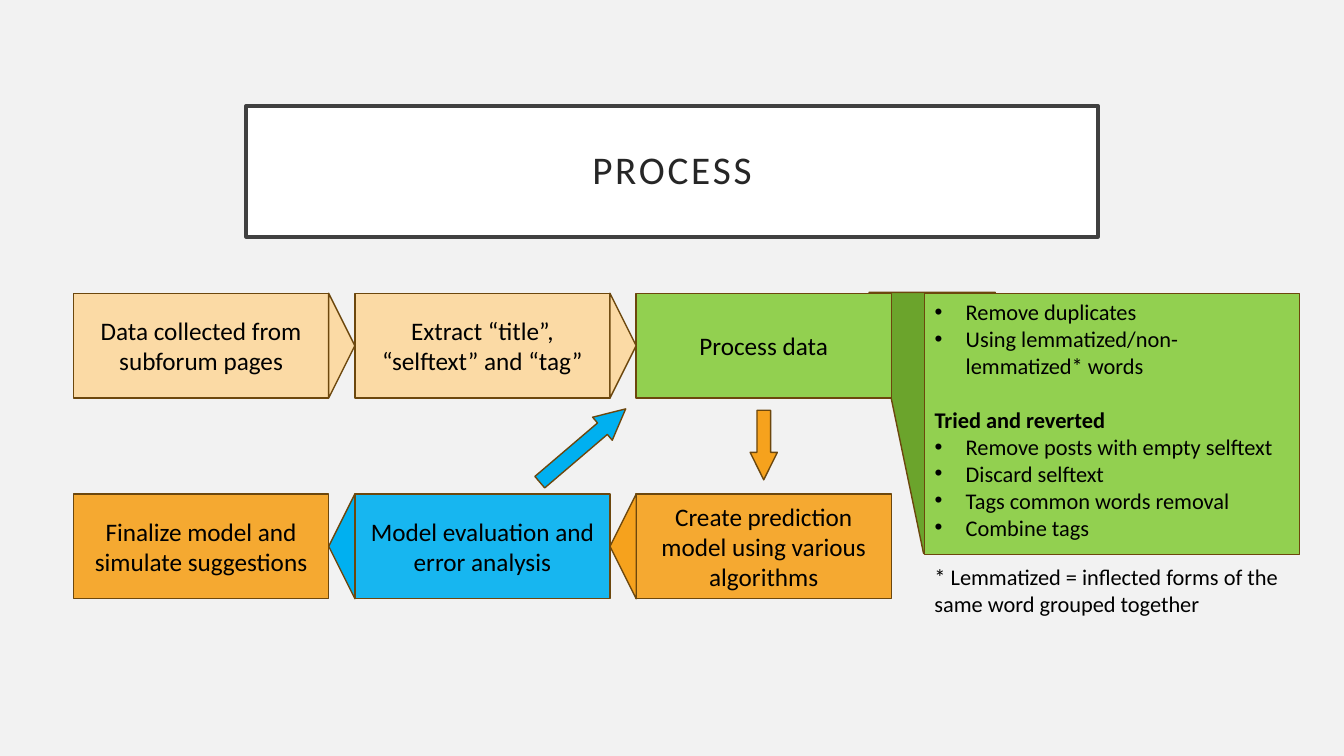
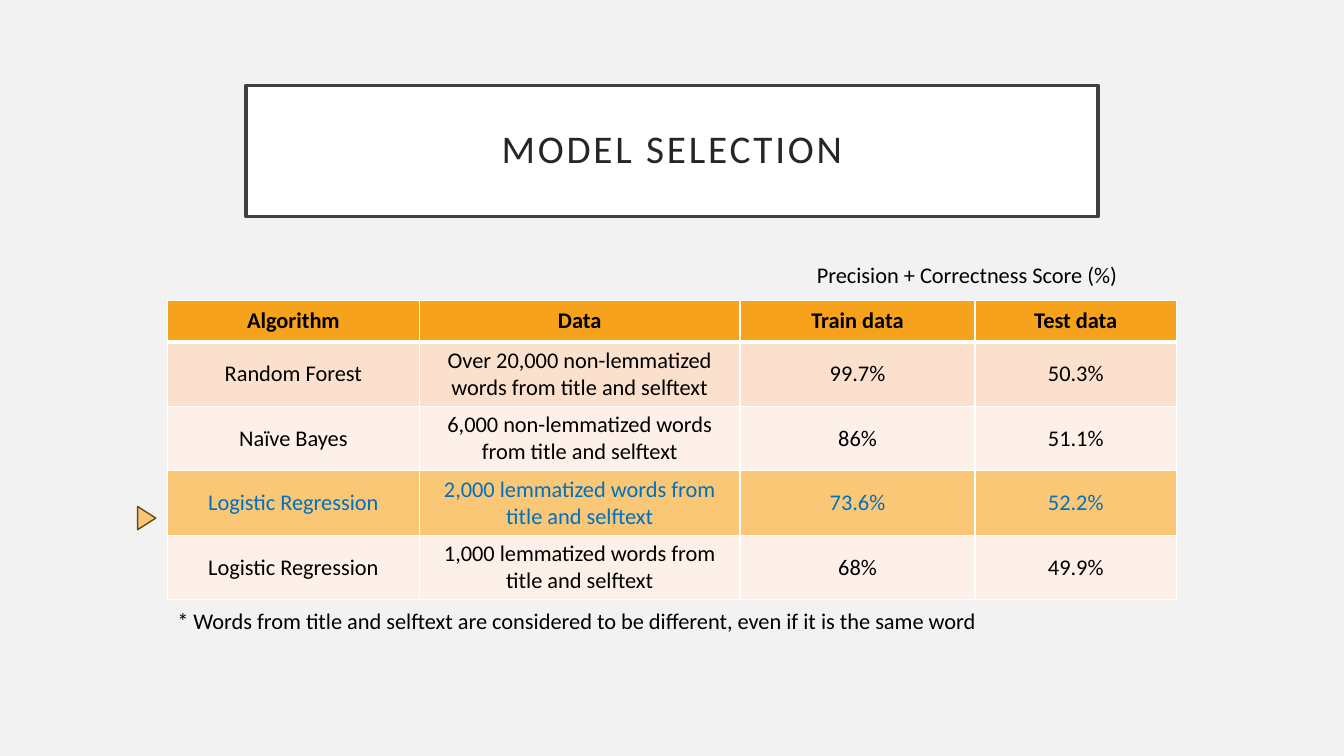
from lxml import etree
from pptx import Presentation
from pptx.dml.color import RGBColor
from pptx.enum.shapes import MSO_SHAPE
from pptx.enum.text import MSO_ANCHOR, PP_ALIGN
from pptx.oxml.ns import qn
from pptx.util import Inches, Pt

RECT, ARROW, TRIANGLE = MSO_SHAPE.RECTANGLE, MSO_SHAPE.RIGHT_ARROW, MSO_SHAPE.ISOSCELES_TRIANGLE
LEFT, CENTER = PP_ALIGN.LEFT, PP_ALIGN.CENTER
TOP, MIDDLE = MSO_ANCHOR.TOP, MSO_ANCHOR.MIDDLE

BROWN, ORANGE, BLUE = "6C470D", "F6A21D", "00B0F0"
CREAM, GREEN, FOREST = "FBDAA5", "92D050", "6BA42C"
BLACK, WHITE, AMBER = "000000", "FFFFFF", "FAC777"
ROSE, BLUSH, LINK = "FBE0CD", "FDF0E8", "0070C0"


def rgb(text):
    return RGBColor.from_string(text)


class Deck:
    font = "Calibri"
    ground = "F2F2F2"

    def __init__(self):
        self.prs = Presentation()
        self.prs.slide_width, self.prs.slide_height = Inches(13.33), Inches(7.5)
        self.slide = None

    def page(self):
        self.slide = self.prs.slides.add_slide(self.prs.slide_layouts[6])
        fill = self.slide.background.fill
        fill.solid()
        fill.fore_color.rgb = rgb(self.ground)

    def paint(self, shape, fill, line=BROWN, width=1, alpha=100):
        shape.shadow.inherit = False
        shape.fill.solid()
        shape.fill.fore_color.rgb = rgb(fill)
        shape.line.color.rgb = rgb(line)
        shape.line.width = Pt(width)
        if alpha < 100:
            tone = shape.fill._xPr.find(qn("a:solidFill"))[0]
            etree.SubElement(tone, qn("a:alpha")).set("val", str(alpha * 1000))

    def letter(self, frame, text, size=16, color=BLACK, align=LEFT, anchor=MIDDLE, bold=False):
        frame.text = text
        frame.word_wrap = True
        frame.vertical_anchor = anchor
        for para in frame.paragraphs:
            para.alignment = align
            for run in para.runs:
                font = run.font
                font.name, font.size, font.bold = self.font, Pt(size), bold
                font.color.rgb = rgb(color)

    def shape(self, kind, x, y, w, h, fill, turn=0, adjust=(), **style):
        item = self.slide.shapes.add_shape(kind, Inches(x), Inches(y), Inches(w), Inches(h))
        self.paint(item, fill, **style)
        item.rotation = turn
        for i, value in enumerate(adjust):
            item.adjustments[i] = value
        return item

    def title(self, text, y):
        frame = self.shape(RECT, 2.44, y, 8.45, 1.3, WHITE, line="404040", width=2.5).text_frame
        self.letter(frame, text, 28, "262626", CENTER)
        frame.margin_left = frame.margin_right = Inches(0.2)
        frame.margin_top = frame.margin_bottom = Inches(0.2)
        para = frame.paragraphs[0]
        para.line_spacing = 0.9
        para.runs[0].font._element.set("spc", "200")

    def box(self, text, x, y, w, h, fill, alpha=100):
        item = self.shape(RECT, x, y, w, h, fill, alpha=alpha)
        self.letter(item.text_frame, text, 18, align=CENTER)

    def arrow(self, x, y, w, h, fill, head, turn=0):
        self.shape(ARROW, x, y, w, h, fill, turn, (0.5, head))

    def label(self, text, x, y, w, h, align=LEFT):
        item = self.slide.shapes.add_textbox(Inches(x), Inches(y), Inches(w), Inches(h))
        self.letter(item.text_frame, text, align=align)

    def outline(self, points, fill):
        pts = [(Inches(x), Inches(y)) for x, y in points]
        build = self.slide.shapes.build_freeform(*pts[0])
        build.add_line_segments(pts[1:], close=True)
        self.paint(build.convert_to_shape(), fill)

    def bullets(self, text, heading, x, y, w, h, fill):
        frame = self.shape(RECT, x, y, w, h, fill).text_frame
        self.letter(frame, text, anchor=TOP)
        for para in frame.paragraphs:
            if para.text == heading:
                para.space_before = Pt(19.5)
                para.runs[0].font.bold = True
                continue
            props = para._p.get_or_add_pPr()
            props.set("marL", str(Inches(0.31)))
            props.set("indent", str(-Inches(0.31)))
            etree.SubElement(props, qn("a:buFont")).set("typeface", "Arial")
            etree.SubElement(props, qn("a:buChar")).set("char", "•")

    def border(self, cell, side, width):
        line = etree.SubElement(cell._tc.get_or_add_tcPr(), qn("a:ln" + side))
        line.set("w", str(Pt(width)))
        fill = etree.SubElement(line, qn("a:solidFill"))
        etree.SubElement(fill, qn("a:srgbClr")).set("val", WHITE)

    def table(self, rows, fills, x, y, widths, heights, accent):
        grid = self.slide.shapes.add_table(
            len(rows), len(widths), Inches(x), Inches(y),
            Inches(sum(widths)), Inches(sum(heights))).table
        for col, width in zip(grid.columns, widths):
            col.width = Inches(width)
        for r, row in enumerate(rows):
            grid.rows[r].height = Inches(heights[r])
            for c, text in enumerate(row):
                cell = grid.cell(r, c)
                color = LINK if r == accent else BLACK
                self.letter(cell.text_frame, text, color=color, align=CENTER, bold=r == 0)
                cell.vertical_anchor = MIDDLE
                for side in "LRTB":
                    thick = (r, side) in ((0, "B"), (1, "T"))
                    self.border(cell, side, 3 if thick else 1)
                cell.fill.solid()
                cell.fill.fore_color.rgb = rgb(fills[r])


def process(deck):
    deck.page()
    deck.outline([(8.62, 2.9), (9.87, 2.9), (10.41, 5.49), (9.16, 5.49)], FOREST)
    deck.title("PROCESS", 1.05)
    wide, tall, gap, left = 2.53, 1.04, 0.26, 0.73
    upper, lower = 2.91, 4.9
    steps = [
        (0, upper, CREAM, 100, "Data collected from\nsubforum pages"),
        (1, upper, CREAM, 100, "Extract “title”, “selftext” and “tag”"),
        (2, upper, GREEN, 100, "Process data"),
        (2, lower, ORANGE, 90, "Create prediction model using various algorithms"),
        (1, lower, BLUE, 90, "Model evaluation and error analysis"),
        (0, lower, ORANGE, 90, "Finalize model and simulate suggestions"),
    ]
    for col, y, fill, alpha, text in steps:
        deck.box(text, left + col * (wide + gap), y, wide, tall, fill, alpha)
    links = [(0, upper, CREAM, 0), (1, upper, CREAM, 0),
             (1, lower, ORANGE, 180), (0, lower, BLUE, 180)]
    for col, y, fill, turn in links:
        deck.arrow(left + wide + col * (wide + gap), y, gap, tall, fill, 1, turn)
    deck.arrow(5.22, 4.27, 1.12, 0.3, BLUE, 1.01, 319.5)
    deck.arrow(7.23, 4.28, 0.69, 0.27, ORANGE, 1.01, 90)
    heading = "Tried and reverted"
    notes = ["Remove duplicates", "Using lemmatized/non-lemmatized* words", heading,
             "Remove posts with empty selftext", "Discard selftext",
             "Tags common words removal", "Combine tags"]
    deck.bullets("\n".join(notes), heading, 9.17, upper, 3.72, 2.59, GREEN)
    deck.label("* Lemmatized = inflected forms of the same word grouped together",
               9.17, 5.5, 3.64, 0.7)


def models(deck):
    deck.page()
    deck.title("MODEL SELECTION", 0.85)
    tail = "from title and selftext"
    rows = [
        ("Algorithm", "Data", "Train data", "Test data"),
        ("Random Forest", f"Over 20,000 non-lemmatized words {tail}", "99.7%", "50.3%"),
        ("Naïve Bayes", f"6,000 non-lemmatized words {tail}", "86%", "51.1%"),
        ("Logistic Regression", f"2,000 lemmatized words {tail}", "73.6%", "52.2%"),
        ("Logistic Regression", f"1,000 lemmatized words {tail}", "68%", "49.9%"),
    ]
    deck.table(rows, [ORANGE, ROSE, BLUSH, AMBER, BLUSH], 1.66, 2.98,
               [2.5, 3.18, 2.33, 2], [0.41] + [0.64] * 4, accent=3)
    deck.label("Precision + Correctness Score (%)", 7.43, 2.51, 4.32, 0.42, CENTER)
    deck.label("* Words from title and selftext are considered to be different, "
               "even if it is the same word", 1.66, 5.97, 10.01, 0.37)
    deck.shape(TRIANGLE, 1.34, 5.05, 0.23, 0.18, AMBER, 90)


def main():
    deck = Deck()
    process(deck)
    models(deck)
    deck.prs.save("out.pptx")


if __name__ == "__main__":
    main()
